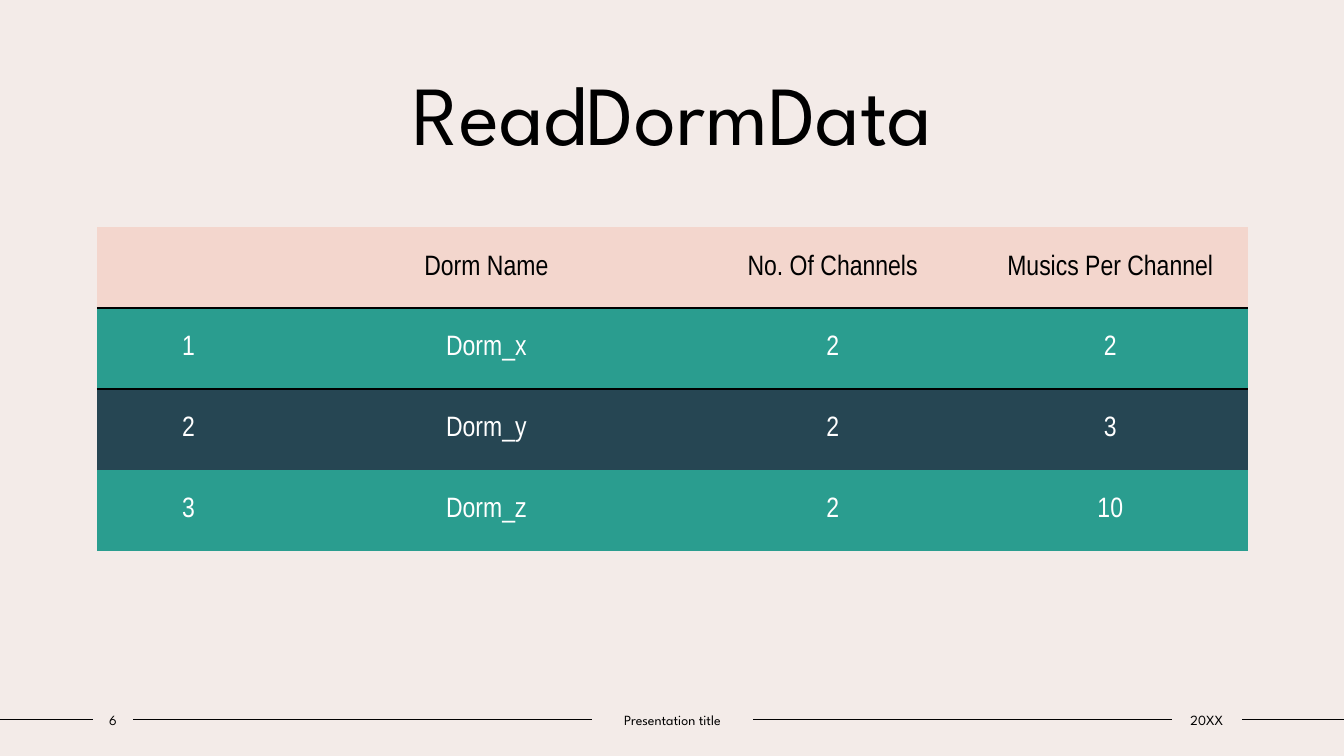
from lxml.etree import SubElement
from pptx import Presentation
from pptx.dml.color import RGBColor
from pptx.enum.shapes import MSO_CONNECTOR
from pptx.enum.text import MSO_ANCHOR, PP_ALIGN
from pptx.oxml import parse_xml
from pptx.oxml.ns import nsdecls, qn
from pptx.util import Inches, Pt

BLACK, WHITE = "000000", "FFFFFF"
PINK, GREEN, NAVY = "F3D6CD", "2A9D8F", "264653"
NO_STYLE = "{2D5ABB26-0587-4C30-8999-92F81FD0307C}"


def paint(item, color):
    """Give a fill or a font a solid colour."""
    if hasattr(item, "solid"):
        item.solid()
        item = item.fore_color
    else:
        item = item.color
    item.rgb = RGBColor.from_string(color)


def write(frame, text, size=10, font="League Spartan", color=BLACK):
    """Put one centred line into a text frame."""
    line = frame.paragraphs[0]
    line.alignment = PP_ALIGN.CENTER
    run = line.add_run()
    run.text = text
    run.font.size = Pt(size)
    run.font.name = font
    paint(run.font, color)


deck = Presentation()
deck.slide_width, deck.slide_height = Inches(13.33), Inches(7.5)
col, row = deck.slide_width / 100, deck.slide_height / 100  # 100 by 100 grid
slide = deck.slides.add_slide(deck.slide_layouts[6])
paint(slide.background.fill, "F3EBE8")
shapes = slide.shapes

# Title
title = shapes.add_textbox(int(9.38 * col), int(7.47 * row),
                           int(81.32 * col), int(14.8 * row)).text_frame
title.word_wrap = True
write(title, "ReadDormData", size=60)

# Table
data = [
    ("", "Dorm Name", "No. Of Channels", "Musics Per Channel"),
    ("1", "Dorm_x", "2", "2"),
    ("2", "Dorm_y", "2", "3"),
    ("3", "Dorm_z", "2", "10"),
]
widths = [13.65, 30.68, 20.85, 20.47]
high = int(10.7 * row)
frame = shapes.add_table(len(data), len(widths), int(7.2 * col), int(30.07 * row),
                         int(sum(widths) * col), high * len(data))
table = frame.table
table.horz_banding = False
table._tbl.tblPr.find(qn("a:tableStyleId")).text = NO_STYLE
for column, width in zip(table.columns, widths):
    column.width = int(width * col)

fills = [PINK, GREEN, NAVY, GREEN]
edges = {0: "lnB", 1: "lnT"}  # both sides of the rule below the header
for r, values in enumerate(data):
    table.rows[r].height = high
    for c, value in enumerate(values):
        cell = table.cell(r, c)
        cell.vertical_anchor = MSO_ANCHOR.MIDDLE
        paint(cell.fill, fills[r])
        if value:
            write(cell.text_frame, value, size=20, font="Arial Narrow",
                  color=WHITE if r else BLACK)
        if r in edges:
            rule = parse_xml(
                f'<a:{edges[r]} {nsdecls("a")} w="{Pt(1.5)}"><a:solidFill>'
                f'<a:srgbClr val="{BLACK}"/></a:solidFill></a:{edges[r]}>')
            cell._tc.get_or_add_tcPr().insert(0, rule)

# Footer: three labels
labels = []
for left, width, text in [(6.9, 3, "6"), (44.03, 12, "Presentation title"),
                          (87.17, 5.25, "20XX")]:
    label = shapes.add_textbox(int(left * col), int(93.33 * row),
                               int(width * col), int(3.73 * row))
    body = label.text_frame
    body.word_wrap = True
    body.margin_left = body.margin_right = 0
    body.vertical_anchor = MSO_ANCHOR.MIDDLE
    write(body, text)
    labels.append(label)

# Footer: lines from edge to edge between the labels
mid = labels[0].top + labels[0].height // 2
for start, end in zip([None] + labels, labels + [None]):
    line = shapes.add_connector(MSO_CONNECTOR.STRAIGHT, 0, mid, deck.slide_width, mid)
    if start:
        line.begin_connect(start, 3)
    if end:
        line.end_connect(end, 1)
    line.line.width = Pt(1)
    paint(line.line.fill, BLACK)
    SubElement(line._element.spPr, qn("a:effectLst"))

deck.save("out.pptx")
